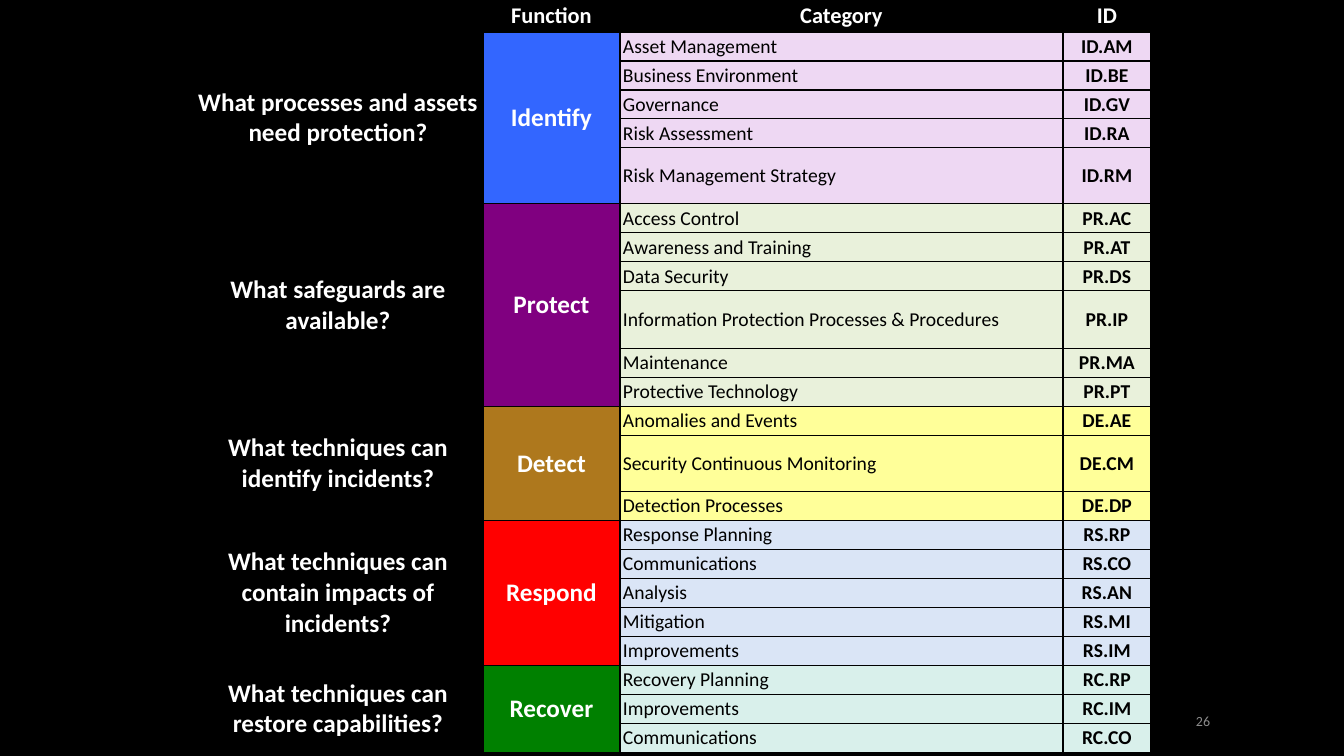
"""Build the slide that maps security functions to categories and IDs."""
from lxml import etree
from pptx import Presentation
from pptx.dml.color import RGBColor
from pptx.enum.text import MSO_ANCHOR as Anchor, PP_ALIGN as Align
from pptx.oxml.ns import qn
from pptx.util import Pt

HEADERS = ("Function", "Category", "ID")
FUNCTIONS = [
    ("What processes and assets need protection?", "Identify", [
        ("Asset Management", "ID.AM"), ("Business Environment", "ID.BE"),
        ("Governance", "ID.GV"), ("Risk Assessment", "ID.RA"),
        ("Risk Management Strategy", "ID.RM")]),
    ("What safeguards are available?", "Protect", [
        ("Access Control", "PR.AC"), ("Awareness and Training", "PR.AT"),
        ("Data Security", "PR.DS"),
        ("Information Protection Processes & Procedures", "PR.IP"),
        ("Maintenance", "PR.MA"), ("Protective Technology", "PR.PT")]),
    ("What techniques can identify incidents?", "Detect", [
        ("Anomalies and Events", "DE.AE"),
        ("Security Continuous Monitoring", "DE.CM"),
        ("Detection Processes", "DE.DP")]),
    ("What techniques can contain impacts of incidents?", "Respond", [
        ("Response Planning", "RS.RP"), ("Communications", "RS.CO"),
        ("Analysis", "RS.AN"), ("Mitigation", "RS.MI"),
        ("Improvements", "RS.IM")]),
    ("What techniques can restore capabilities?", "Recover", [
        ("Recovery Planning", "RC.RP"), ("Improvements", "RC.IM"),
        ("Communications", "RC.CO")]),
]
PAGE_NUMBER = "26"

COLORS = {
    "black": "000000", "white": "FFFFFF", "gray": "8C8C8C",
    "Identify": "3366FF", "Protect": "800080", "Detect": "AE781D",
    "Respond": "FF0000", "Recover": "008000",
}
TINTS = {
    "Identify": "EED8F3", "Protect": "E9F1DB", "Detect": "FFFF99",
    "Respond": "DAE5F6", "Recover": "D9F0EB",
}
FONT = "Calibri"
FORMATS = {
    "header": {"size": Pt(16), "bold": True, "color": "white", "align": Align.CENTER, "after": 6},
    "function": {"size": Pt(18), "bold": True, "color": "white", "align": Align.CENTER, "after": 6},
    "category": {"size": Pt(14), "bold": False, "color": "black", "align": Align.LEFT, "after": 3},
    "id": {"size": Pt(14), "bold": True, "color": "black", "align": Align.CENTER, "after": 3},
    "page": {"size": Pt(10), "bold": False, "color": "gray", "align": Align.RIGHT, "after": 0},
}

SCALE = 914400 / 100.8
SLIDE_SIZE = (1344, 756)
TABLE_LEFT, TABLE_TOP = 193, 0
COLUMN_WIDTHS = (290, 137, 443, 88)
HEADER_HEIGHT, ROW_HEIGHT = 32, 29
TALL_ROWS = {"ID.RM": 56, "PR.IP": 58, "DE.CM": 56}
PAGE_BOX = (1160, 701, 60, 40)
CELL_INSET = 3


def px(length):
    return round(length * SCALE)


def write(frame, text, kind):
    style = FORMATS[kind]
    paragraph = frame.paragraphs[0]
    paragraph.text = text
    paragraph.alignment = style["align"]
    paragraph.space_after = Pt(style["after"])
    font = paragraph.runs[0].font
    font.color.rgb = RGBColor.from_string(COLORS[style["color"]])
    for name, value in {"name": FONT, "size": style["size"], "bold": style["bold"]}.items():
        setattr(font, name, value)


def format_cell(cell, fill):
    layout = {"margin_left": px(CELL_INSET), "margin_right": px(CELL_INSET),
              "margin_top": 0, "margin_bottom": 0, "vertical_anchor": Anchor.MIDDLE}
    for name, value in layout.items():
        setattr(cell, name, value)
    if fill:
        cell.fill.solid()
        cell.fill.fore_color.rgb = RGBColor.from_string(fill)
    else:
        cell.fill.background()
    properties = cell._tc.get_or_add_tcPr()
    for index, side in enumerate("LRTB"):
        line = etree.Element(qn(f"a:ln{side}"), w=str(Pt(1)))
        solid = etree.SubElement(line, qn("a:solidFill"))
        etree.SubElement(solid, qn("a:srgbClr"), val=COLORS["black"])
        properties.insert(index, line)


def add_function_table(slide):
    ids = [code for _, _, categories in FUNCTIONS for _, code in categories]
    heights = [HEADER_HEIGHT] + [TALL_ROWS.get(code, ROW_HEIGHT) for code in ids]
    frame = slide.shapes.add_table(
        len(heights), len(COLUMN_WIDTHS), px(TABLE_LEFT), px(TABLE_TOP),
        px(sum(COLUMN_WIDTHS)), px(sum(heights)))
    table = frame.table
    table.first_row = table.horz_banding = False
    for column, width in zip(table.columns, COLUMN_WIDTHS):
        column.width = px(width)
    for row, height in zip(table.rows, heights):
        row.height = px(height)

    format_cell(table.cell(0, 0), None)
    for column, header in enumerate(HEADERS, 1):
        format_cell(table.cell(0, column), COLORS["black"])
        write(table.cell(0, column).text_frame, header, "header")

    top = 1
    for question, function, categories in FUNCTIONS:
        fills = (None, COLORS[function], TINTS[function], TINTS[function])
        for row, (category, code) in enumerate(categories, top):
            for column, fill in enumerate(fills):
                format_cell(table.cell(row, column), fill)
            write(table.cell(row, 2).text_frame, category, "category")
            write(table.cell(row, 3).text_frame, code, "id")
        for column, text in enumerate((question, function)):
            table.cell(top, column).merge(table.cell(row, column))
            write(table.cell(top, column).text_frame, text, "function")
        top += len(categories)


def main():
    presentation = Presentation()
    presentation.slide_width, presentation.slide_height = map(px, SLIDE_SIZE)
    slide = presentation.slides.add_slide(presentation.slide_layouts[6])
    slide.background.fill.solid()
    slide.background.fill.fore_color.rgb = RGBColor.from_string(COLORS["black"])
    add_function_table(slide)
    page_frame = slide.shapes.add_textbox(*map(px, PAGE_BOX)).text_frame
    page_frame.word_wrap = True
    page_frame.vertical_anchor = Anchor.MIDDLE
    write(page_frame, PAGE_NUMBER, "page")
    presentation.save("out.pptx")


if __name__ == "__main__":
    main()
